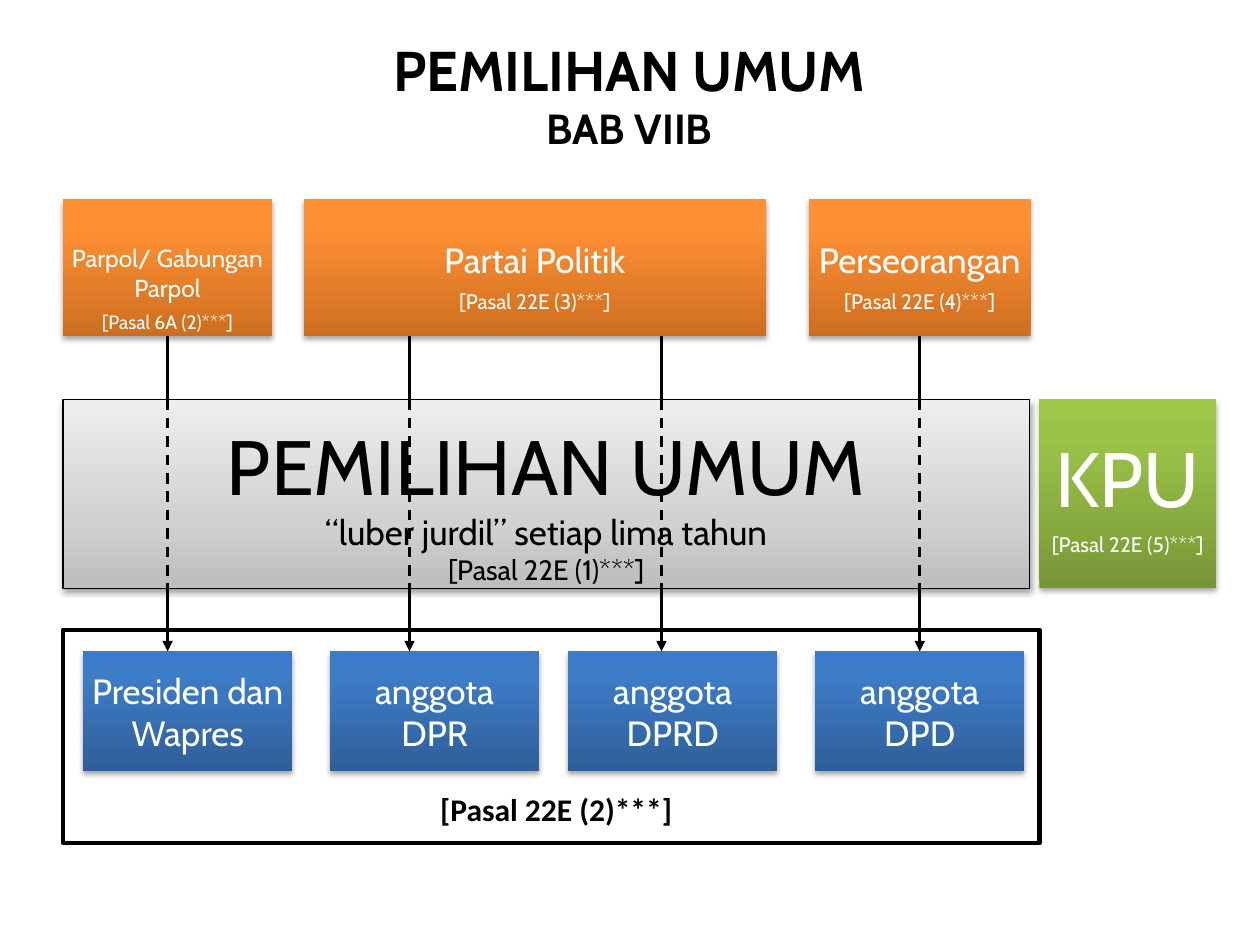
"""Build the slide on general elections and who takes part in them."""
from copy import deepcopy
from typing import NamedTuple, Optional

from lxml import etree
from pptx import Presentation
from pptx.dml.color import RGBColor
from pptx.enum.dml import MSO_LINE
from pptx.enum.shapes import MSO_CONNECTOR, MSO_SHAPE
from pptx.enum.text import MSO_ANCHOR, PP_ALIGN
from pptx.oxml.ns import qn
from pptx.util import Inches, Pt

RECT = MSO_SHAPE.RECTANGLE
LINE = MSO_CONNECTOR.STRAIGHT
DASH = MSO_LINE.DASH
TOP, MIDDLE = MSO_ANCHOR.TOP, MSO_ANCHOR.MIDDLE
CENTER = PP_ALIGN.CENTER
BLACK = RGBColor(0x00, 0x00, 0x00)
WHITE = RGBColor(0xFF, 0xFF, 0xFF)


class Tone(NamedTuple):
    stops: tuple
    ink: RGBColor = WHITE
    edge: bool = False
    shade: int = 35
    drop: float = 1.8


class Text(NamedTuple):
    words: str
    size: int
    gap: int = 0


class Box(NamedTuple):
    left: float
    top: float
    width: float
    height: float
    tone: Tone
    texts: tuple
    inset: Optional[float] = None


class Flow(NamedTuple):
    x: float
    start: Optional[str] = None
    end: Optional[str] = None


GRAY = Tone(((0, RGBColor(0xBD, 0xBD, 0xBD)), (0.35, RGBColor(0xD1, 0xD1, 0xD1)),
             (1, RGBColor(0xEE, 0xEE, 0xEE))), BLACK, True, 38, 1.6)
GREEN = Tone(((0, RGBColor(0x77, 0x97, 0x37)), (0.8, RGBColor(0x9B, 0xC3, 0x48)),
              (1, RGBColor(0x9D, 0xC7, 0x46))))
ORANGE = Tone(((0, RGBColor(0xCC, 0x6E, 0x20)), (0.8, RGBColor(0xFF, 0x90, 0x34)),
               (1, RGBColor(0xFF, 0x91, 0x36))))
BLUE = Tone(((0, RGBColor(0x2F, 0x5F, 0x99)), (0.8, RGBColor(0x3D, 0x7C, 0xC7)),
             (1, RGBColor(0x3A, 0x7C, 0xCB))))


def party(left: float, width: float, name: str, clause: str,
          size: int = 20, small: int = 12, inset: float = 0.31) -> Box:
    texts = (Text(name, size), Text(clause, small, 5))
    return Box(left, 1.58, width, 1.09, ORANGE, texts, inset)


def seat(left: float, *words: str) -> Box:
    return Box(left, 5.17, 1.66, 0.95, BLUE, tuple(Text(word, 20) for word in words))


BOXES = {
    "vote": Box(0.5, 3.17, 7.67, 1.5, GRAY, (
        Text("PEMILIHAN UMUM", 44),
        Text("“luber jurdil” setiap lima tahun", 20),
        Text("[Pasal 22E (1)***]", 16)), 0.15),
    "kpu": Box(8.25, 3.17, 1.4, 1.5, GREEN, (
        Text("KPU", 44), Text("[Pasal 22E (5)***]", 12, 5)), 0.25),
    "person": party(6.42, 1.76, "Perseorangan", "[Pasal 22E (4)***]"),
    "party": party(2.41, 3.67, "Partai Politik", "[Pasal 22E (3)***]"),
    "union": party(0.5, 1.66, "Parpol/ Gabungan Parpol", "[Pasal 6A (2)***]",
                   14, 11, 0.35),
    "head": seat(0.66, "Presiden dan Wapres"),
    "dpr": seat(2.62, "anggota", "DPR"),
    "dprd": seat(4.51, "anggota", "DPRD"),
    "dpd": seat(6.47, "anggota", "DPD"),
}
FLOWS = (Flow(1.33, "union"), Flow(3.25), Flow(5.25), Flow(7.3, "person", "dpd"))


def write(frame, texts: tuple, ink: RGBColor, font: str = "Cabin",
          bold: bool = False, inset: Optional[float] = None) -> None:
    frame.word_wrap = True
    frame.margin_left = frame.margin_right = frame.margin_bottom = 0
    frame.margin_top = Inches(inset or 0)
    frame.vertical_anchor = MIDDLE if inset is None else TOP
    frame.text = "\n".join(text.words for text in texts)
    for para, text in zip(frame.paragraphs, texts):
        para.alignment = CENTER
        para.space_before = Pt(text.gap)
        for run in para.runs:
            run.font.name = font
            run.font.size = Pt(text.size)
            run.font.bold = bold
            run.font.color.rgb = ink


def paint(shape, tone: Tone) -> None:
    fill = shape.fill
    fill.gradient()
    fill.gradient_angle = 90
    first = next(shape._element.spPr.iter(qn("a:gs")))
    first.addnext(deepcopy(first))
    for stop, (place, color) in zip(fill.gradient_stops, tone.stops):
        stop.position = place
        stop.color.rgb = color
    if tone.edge:
        shape.line.color.rgb = BLACK
        shape.line.width = Pt(0.75)
    else:
        shape.line.fill.background()
    shape.shadow.inherit = False
    effect = shape._element.spPr.find(qn("a:effectLst"))
    cast = etree.SubElement(effect, qn("a:outerShdw"), blurRad=str(Pt(3.1)),
                            dist=str(Pt(tone.drop)), dir="5400000", rotWithShape="0")
    color = etree.SubElement(cast, qn("a:srgbClr"), val=str(BLACK))
    etree.SubElement(color, qn("a:alpha"), val=str(tone.shade * 1000))


def draw_box(slide, box: Box):
    shape = slide.shapes.add_shape(RECT, *map(Inches, box[:4]))
    paint(shape, box.tone)
    write(shape.text_frame, box.texts, box.tone.ink, inset=box.inset)
    return shape


def draw_line(slide, x: float, top: float, end: float,
              dash: bool = False, arrow: bool = False):
    line = slide.shapes.add_connector(LINE, *map(Inches, (x, top, x, end)))
    line.line.color.rgb = BLACK
    line.line.width = Pt(1.5)
    if dash:
        line.line.dash_style = DASH
    if arrow:
        etree.SubElement(line.line._get_or_add_ln(), qn("a:tailEnd"), type="triangle")
    etree.SubElement(line._element.spPr, qn("a:effectLst"))
    return line


def draw_flow(slide, flow: Flow, shapes: dict) -> None:
    last = draw_line(slide, flow.x, 4.67, 5.17, arrow=True)
    first = draw_line(slide, flow.x, 2.67, 3.17)
    draw_line(slide, flow.x, 3.17, 4.67, dash=True)
    if flow.start:
        first.begin_connect(shapes[flow.start], 2)
    if flow.end:
        last.end_connect(shapes[flow.end], 0)


def main() -> None:
    deck = Presentation()
    deck.slide_width, deck.slide_height = Inches(10), Inches(7.5)
    slide = deck.slides.add_slide(deck.slide_layouts[5])
    title = slide.shapes.title
    title.left, title.top, title.width, title.height = map(
        Inches, (0.08, 0.03, 9.83, 1.17))
    write(title.text_frame, (Text("PEMILIHAN UMUM", 32), Text("BAB VIIB", 24)),
          BLACK, bold=True, inset=0.25)
    shapes = {name: draw_box(slide, box) for name, box in BOXES.items()}
    for flow in FLOWS:
        draw_flow(slide, flow, shapes)
    note = slide.shapes.add_textbox(*map(Inches, (0.62, 6.22, 7.59, 0.36)))
    write(note.text_frame, (Text("[Pasal 22E (2)***]", 18),), BLACK,
          "Calibri", True, 0.05)
    frame = slide.shapes.add_shape(RECT, *map(Inches, (0.5, 5, 7.75, 1.69)))
    frame.fill.background()
    frame.line.color.rgb = BLACK
    frame.line.width = Pt(2.75)
    frame.shadow.inherit = False
    deck.save("out.pptx")


if __name__ == "__main__":
    main()
